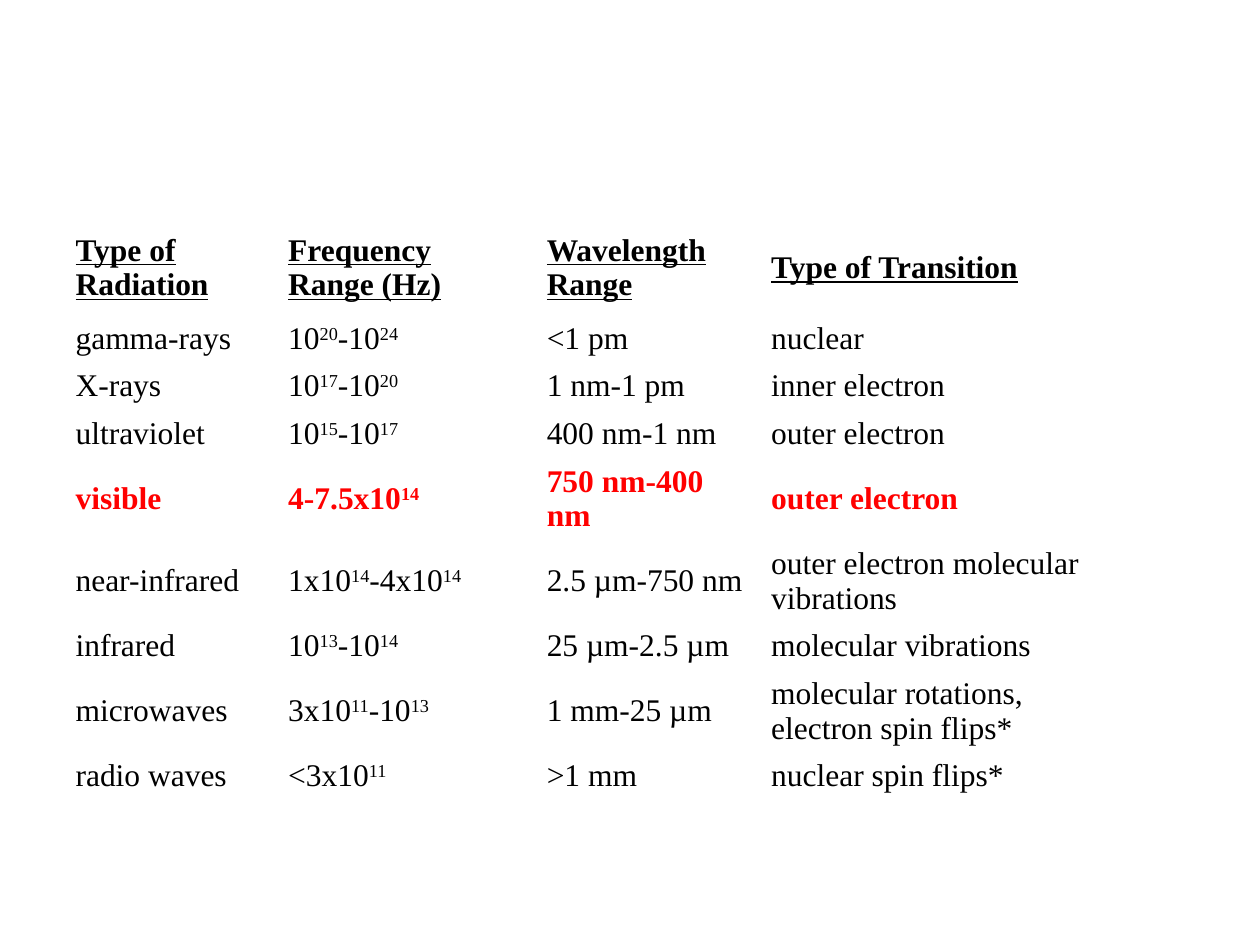
import pptx
import pptx.dml.color
import pptx.enum.text
import pptx.util
from dataclasses import dataclass

Pt = pptx.util.Pt
RGBColor = pptx.dml.color.RGBColor


@dataclass(frozen=True)
class Theme:
    font: str = "Times New Roman"
    size: int = 18
    text: RGBColor = RGBColor(0, 0, 0)
    highlight: RGBColor = RGBColor(255, 0, 0)


theme = Theme()

# Spectrum data: carets enclose superscripts, line breaks part paragraphs
spectrum = [
    ("Type of Radiation", "Frequency Range (Hz)", "Wavelength Range", "Type of Transition"),
    ("gamma-rays", "10^20^-10^24^", "<1 pm", "nuclear"),
    ("X-rays", "10^17^-10^20^", "1 nm-1 pm", "inner electron"),
    ("ultraviolet", "10^15^-10^17^", "400 nm-1 nm", "outer electron"),
    ("visible", "4-7.5x10^14^", "750 nm-400 nm", "outer electron"),
    ("near-infrared", "1x10^14^-4x10^14^", "2.5 µm-750 nm", "outer electron molecular vibrations"),
    ("infrared", "10^13^-10^14^", "25 µm-2.5 µm", "molecular vibrations"),
    ("microwaves", "3x10^11^-10^13^", "1 mm-25 µm", "molecular rotations,\nelectron spin flips*"),
    ("radio waves", "<3x10^11^", ">1 mm", "nuclear spin flips*"),
]
column_widths = [121.5, 147.75, 128.25, 226.5]
header_height, row_height = 54, 18

# Slide
presentation = pptx.Presentation()
presentation.slide_width, presentation.slide_height = Pt(720), Pt(540)
slide = presentation.slides.add_slide(presentation.slide_layouts[6])

# Table frame
shape = slide.shapes.add_table(
    len(spectrum), len(column_widths), Pt(36), Pt(126), Pt(sum(column_widths)), Pt(349))
table = shape.table
table.first_row = False
table.horz_banding = False
for column, width in zip(table.columns, column_widths):
    column.width = Pt(width)
for index, row in enumerate(table.rows):
    row.height = Pt(row_height if index else header_height)
shape.height = Pt(349)

# Table cells
for row, values in zip(table.rows, spectrum):
    is_header = values == spectrum[0]
    is_visible = values[0] == "visible"
    for cell, value in zip(row.cells, values):
        cell.fill.background()
        cell.vertical_anchor = pptx.enum.text.MSO_ANCHOR.MIDDLE
        cell.text = value.replace("^", "")
        for paragraph, line in zip(cell.text_frame.paragraphs, value.split("\n")):
            paragraph.clear()
            paragraph.font.name = theme.font
            paragraph.font.size = Pt(theme.size)
            paragraph.font.bold = is_header or is_visible
            paragraph.font.underline = is_header
            paragraph.font.color.rgb = theme.highlight if is_visible else theme.text
            for position, part in enumerate(line.split("^")):
                if part:
                    run = paragraph.add_run()
                    run.text = part
                    if position % 2:
                        run.font._element.set("baseline", "30000")

presentation.save("out.pptx")
